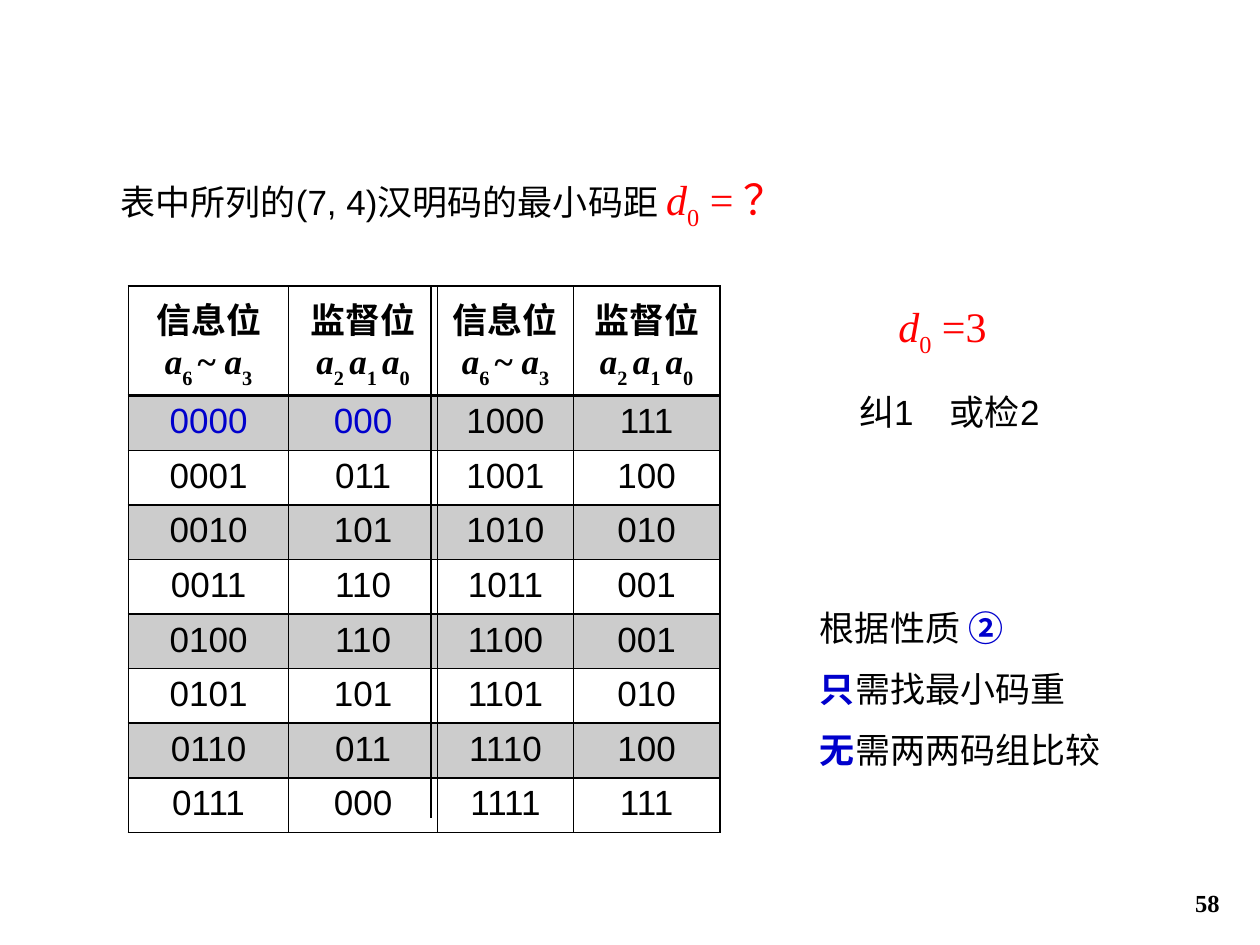
from lxml import etree
from pptx import Presentation
from pptx.dml import color
from pptx.enum import shapes, text
from pptx.oxml import ns
from pptx.util import Cm, Pt

BLACK, RED, BLUE = "000000", "FF0000", "0000CC"
SERIF, SANS, CJK = "Times New Roman", "Arial", "Noto Sans CJK SC"

COLUMN_WIDTHS = (3.23, 3, 2.74, 2.95)
HEADER_HEIGHT, ROW_HEIGHT = 1.96, 1.1
CODEWORDS = (
    ("0000", "000", "1000", "111"),
    ("0001", "011", "1001", "100"),
    ("0010", "101", "1010", "010"),
    ("0011", "110", "1011", "001"),
    ("0100", "110", "1100", "001"),
    ("0101", "101", "1101", "010"),
    ("0110", "011", "1110", "100"),
    ("0111", "000", "1111", "111"),
)
INFORMATION = ("信息位", (("a", True, 0), ("6 ", False, -30), ("~ ", False, 0),
                       ("a", True, 0), ("3", False, -30)))
CHECK = ("监督位", (("a", True, 0), ("2 ", False, -30), ("a", True, 0),
                 ("1 ", False, -30), ("a", True, 0), ("0", False, -30)))


def rgb(value):
    return color.RGBColor.from_string(value)


def child(parent, tag, **attributes):
    return etree.SubElement(parent, ns.qn(tag), attributes)


def write(paragraph, words, size=20, face=SANS, hue=BLACK, bold=False,
          italic=False, baseline=0):
    run = paragraph.add_run()
    run.text = words
    font = run.font
    font.size, font.name, font.bold, font.italic = Pt(size), face, bold, italic
    font.color.rgb = rgb(hue)
    properties = run._r.get_or_add_rPr()
    child(properties, "a:ea", typeface=CJK)
    if baseline:
        properties.set("baseline", str(baseline * 1000))


def add_text(slide, left, top, width, height, wrap=True):
    frame = slide.shapes.add_textbox(Cm(left), Cm(top), Cm(width), Cm(height)).text_frame
    frame.word_wrap = wrap
    frame.auto_size = text.MSO_AUTO_SIZE.SHAPE_TO_FIT_TEXT
    return frame


def write_distance(paragraph, value):
    style = dict(size=24, face=SERIF, hue=RED)
    write(paragraph, "d", italic=True, **style)
    write(paragraph, "0", baseline=-25, **style)
    write(paragraph, f" = {value}" if value == "？" else f" ={value}", **style)


def border(cell, bottom=1):
    properties = cell._tc.get_or_add_tcPr()
    for index, side in enumerate("LRTB"):
        width = bottom if side == "B" else 1
        line = etree.Element(ns.qn(f"a:ln{side}"), w=str(Pt(width)))
        child(child(line, "a:solidFill"), "a:srgbClr", val=BLACK)
        properties.insert(index, line)


def shade(cell):
    cell.fill.solid()
    cell.fill.fore_color.rgb = rgb(BLACK)
    tint = cell._tc.tcPr.find(".//" + ns.qn("a:srgbClr"))
    child(tint, "a:alpha", val="20000")


def add_code_table(slide, left, top):
    width = sum(COLUMN_WIDTHS)
    height = HEADER_HEIGHT + ROW_HEIGHT * len(CODEWORDS)
    codes = slide.shapes.add_table(len(CODEWORDS) + 1, len(COLUMN_WIDTHS),
                                   Cm(left), Cm(top), Cm(width), Cm(height)).table
    codes.first_row = codes.horz_banding = False
    for column, size in zip(codes.columns, COLUMN_WIDTHS):
        column.width = Cm(size)
    for index, row in enumerate(codes.rows):
        row.height = Cm(ROW_HEIGHT if index else HEADER_HEIGHT)

    for column, (title, symbols) in enumerate((INFORMATION, CHECK) * 2):
        cell = codes.cell(0, column)
        heading = cell.text_frame.paragraphs[0]
        formula = cell.text_frame.add_paragraph()
        heading.alignment = formula.alignment = text.PP_ALIGN.CENTER
        write(heading, title, face=SERIF, bold=True)
        for symbol, italic, baseline in symbols:
            write(formula, symbol, face=SERIF, bold=True, italic=italic, baseline=baseline)
        cell.fill.background()
        border(cell, bottom=2)

    for row, codeword in enumerate(CODEWORDS, 1):
        for column, bits in enumerate(codeword):
            cell = codes.cell(row, column)
            paragraph = cell.text_frame.paragraphs[0]
            paragraph.alignment = text.PP_ALIGN.CENTER
            write(paragraph, bits, hue=BLUE if row == 1 and column < 2 else BLACK)
            if row % 2:
                shade(cell)
            else:
                cell.fill.background()
            border(cell)

    middle = Cm(left + sum(COLUMN_WIDTHS[:2]) - 0.13)
    divider = slide.shapes.add_connector(shapes.MSO_CONNECTOR.STRAIGHT, middle, Cm(top),
                                         middle, Cm(top + height - 0.04))
    divider.line.color.rgb = rgb(BLACK)
    divider.line.width = Pt(0.75)
    child(divider._element.spPr, "a:effectLst")


def add_question(slide, left, top):
    question = add_text(slide, left, top, 15.29, 1.3).paragraphs[0]
    write(question, "表中所列的(7, 4)汉明码的最小码距 ")
    write_distance(question, "？")


def add_answer(slide, left, top):
    distance = add_text(slide, left + 0.79, top, 2.57, 1.3, wrap=False).paragraphs[0]
    write_distance(distance, "3")
    ability = add_text(slide, left, top + 1.81, 4.37, 1.12).paragraphs[0]
    stops = child(ability._p.get_or_add_pPr(), "a:tabLst")
    child(stops, "a:tab", pos=str(Cm(1.83)), algn="l")
    write(ability, "纠1\t或检2")


def add_reason(slide, left, top):
    frame = add_text(slide, left, top, 6.22, 3.99, wrap=False)
    key = dict(face=CJK, hue=BLUE, bold=True)
    lines = (
        (("根据性质 ", {}), ("②", key)),
        (("只", key), ("需找最小码重", {})),
        (("无", key), ("需两两码组比较", {})),
    )
    for index, pieces in enumerate(lines):
        paragraph = frame.add_paragraph() if index else frame.paragraphs[0]
        paragraph.line_spacing = Pt(35)
        for words, style in pieces:
            write(paragraph, words, **style)


def add_page_number(slide, left, top):
    frame = add_text(slide, left, top, 5.28, 1.27)
    frame.auto_size = text.MSO_AUTO_SIZE.NONE
    frame.vertical_anchor = text.MSO_ANCHOR.BOTTOM
    number = frame.paragraphs[0]
    number.alignment = text.PP_ALIGN.RIGHT
    write(number, "58", size=14, face=SERIF, bold=True)


def main():
    deck = Presentation()
    deck.slide_width, deck.slide_height = Cm(25.4), Cm(19.05)
    slide = deck.slides.add_slide(deck.slide_layouts[6])
    add_code_table(slide, 2.59, 5.77)
    add_question(slide, 2.18, 3.38)
    add_answer(slide, 17.07, 5.94)
    add_reason(slide, 16.28, 11.71)
    add_page_number(slide, 19.56, 17.35)
    deck.save("out.pptx")


if __name__ == "__main__":
    main()
